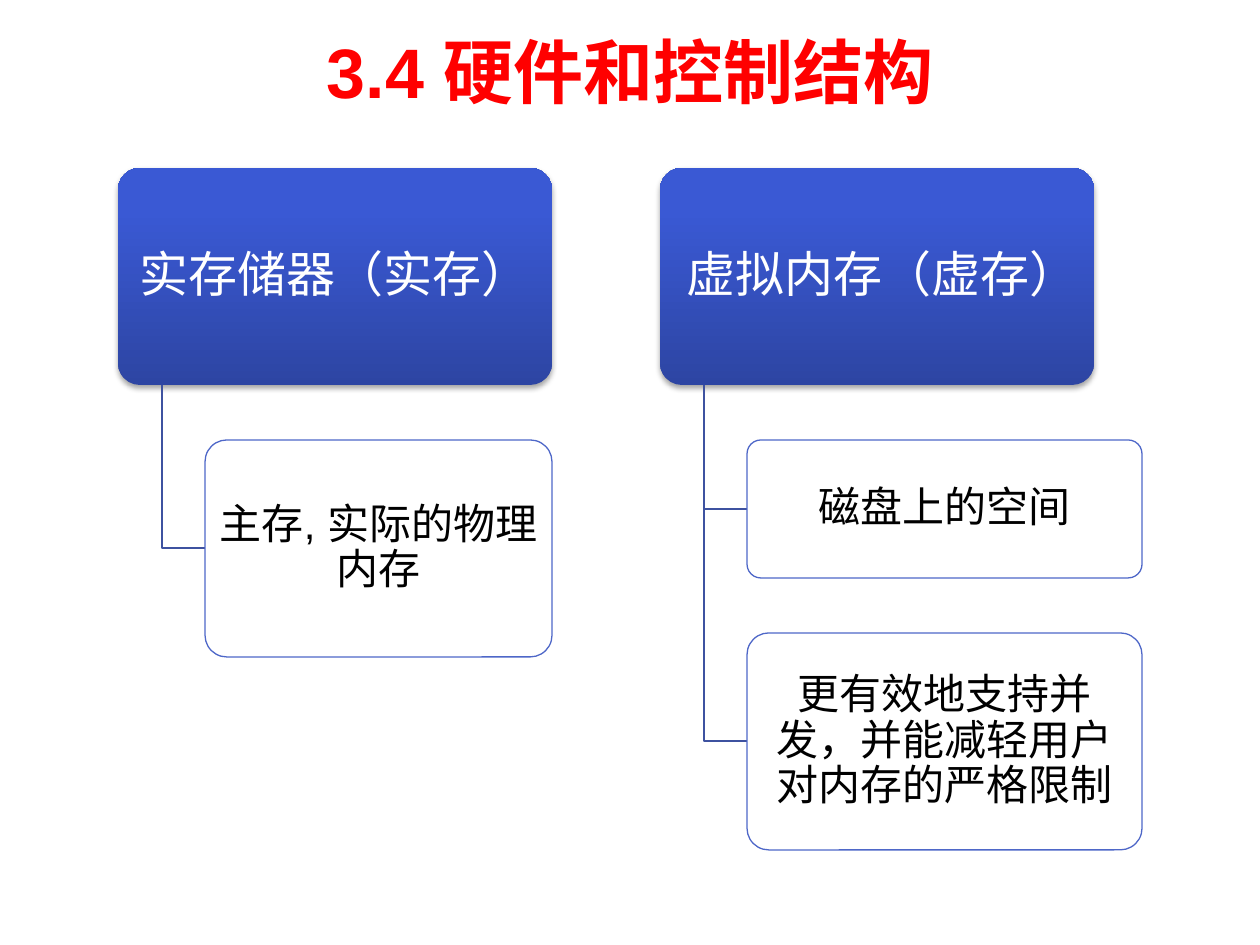
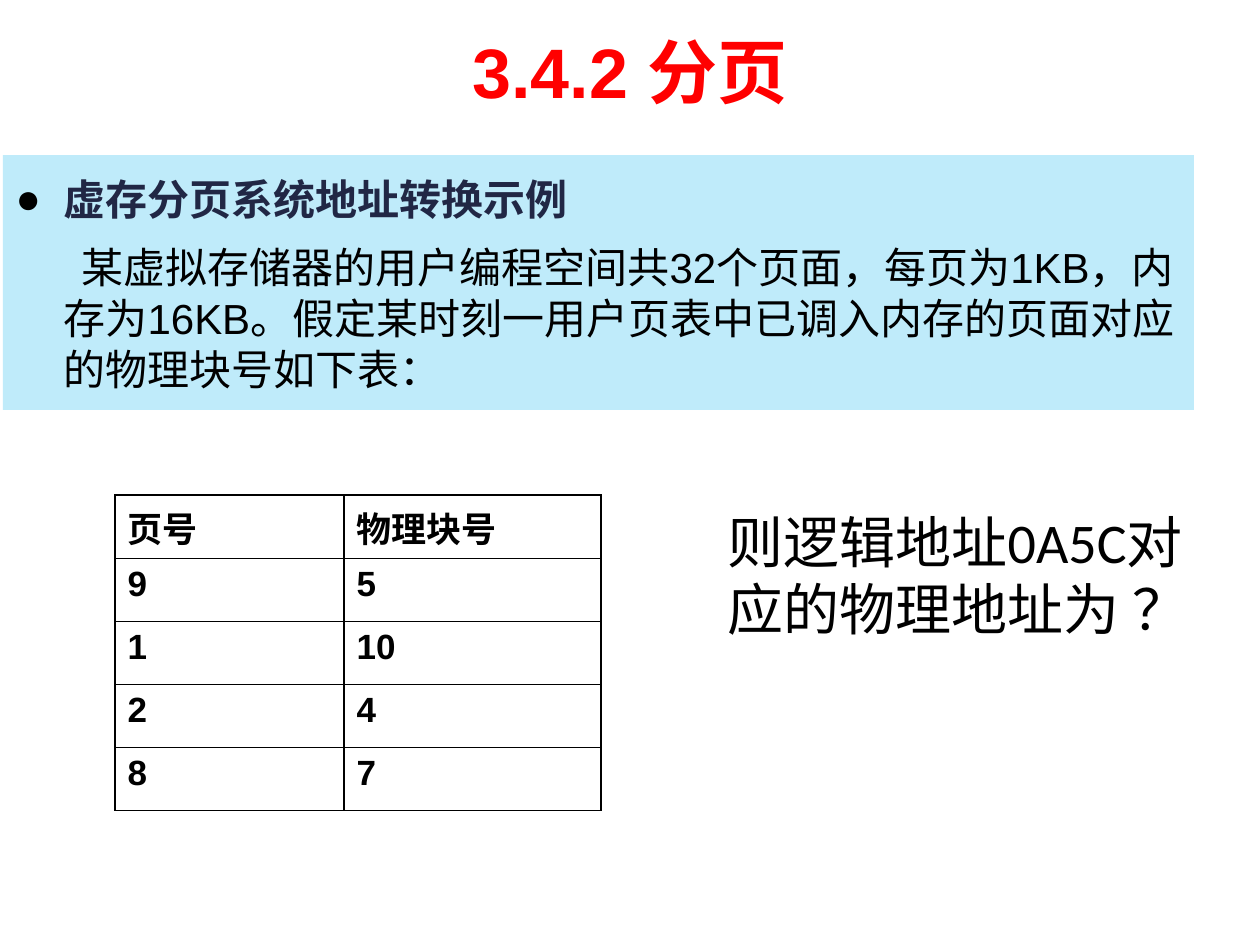
from dataclasses import dataclass

from pptx import Presentation
from pptx import util as u
from pptx.dml.color import RGBColor
from pptx.enum import shapes, text
from pptx.oxml import parse_xml
from pptx.oxml.ns import nsdecls

PX = 914400 / 126
RED, BLACK, WHITE, NAVY = "FF0000", "000000", "FFFFFF", "212745"
SKY, LEAF_EDGE, BRANCH = "BFEBFA", "4E67C8", "3E52A0"
ROOT_STOPS = ((0, "2D45A3"), (80, "3A59D4"), (100, "3758D7"))

TITLE_AREA = (63, 6, 1134, 129)
ROOT_TOP, ROOT_WIDTH, ROOT_HEIGHT = 168, 434, 217
LEAF_GAP, LEAF_INDENT, TRUNK_INDENT = 55, 87, 44


@dataclass
class Leaf:
    label: str
    height: int


@dataclass
class Branch:
    label: str
    left: int
    leaf_width: int
    leaves: list[Leaf]


BRANCHES = [
    Branch("实存储器（实存）", 118, 347, [Leaf("主存, 实际的物理内存", 217)]),
    Branch(" 虚拟内存（虚存）", 660, 395, [
        Leaf("磁盘上的空间", 138),
        Leaf("更有效地支持并发，并能减轻用户对内存的严格限制", 217),
    ]),
]
PAGE_TABLE = [("页号", "物理块号"), ("9", "5"), ("1", "10"), ("2", "4"), ("8", "7")]


def px(length: float) -> u.Emu:
    return u.Emu(round(length * PX))


def color(value: str) -> RGBColor:
    return RGBColor.from_string(value)


def place(shape, left: int, top: int, width: int, height: int) -> None:
    shape.left, shape.top = px(left), px(top)
    shape.width, shape.height = px(width), px(height)


def set_font(para, size: int, ink: str, name: str = "Arial", bold: bool = False) -> None:
    font = para.font
    font.size, font.name, font.bold = u.Pt(size), name, bold
    font.color.rgb = color(ink)


def keep_punctuation_inside(para) -> None:
    para._p.get_or_add_pPr().set("hangingPunct", "0")


def add_page(deck, layout: int, title: str):
    page = deck.slides.add_slide(deck.slide_layouts[layout])
    place(page.shapes.title, *TITLE_AREA)
    frame = page.shapes.title.text_frame
    frame.text = title
    frame.vertical_anchor = text.MSO_ANCHOR.MIDDLE
    frame.paragraphs[0].alignment = text.PP_ALIGN.CENTER
    set_font(frame.paragraphs[0], 40, RED, bold=True)
    return page


def add_card(page, area: tuple, label: str, size: int, ink: str):
    card = page.shapes.add_shape(shapes.MSO_SHAPE.ROUNDED_RECTANGLE, *map(px, area))
    card.adjustments[0] = 0.1
    card.shadow.inherit = False
    frame = card.text_frame
    frame.word_wrap = True
    frame.vertical_anchor = text.MSO_ANCHOR.MIDDLE
    frame.margin_left = frame.margin_right = px(7)
    frame.margin_top = frame.margin_bottom = px(4)
    para = frame.paragraphs[0]
    para.text = label
    para.alignment = text.PP_ALIGN.CENTER
    para.line_spacing = 0.9
    keep_punctuation_inside(para)
    set_font(para, size, ink)
    return card


def style_root(card) -> None:
    """Give the card its upward gradient and a soft shadow below."""
    card.line.fill.background()
    stops = "".join(f'<a:gs pos="{percent * 1000}"><a:srgbClr val="{tone}"/></a:gs>'
                    for percent, tone in ROOT_STOPS)
    properties = card._element.spPr
    properties.find("{*}prstGeom").addnext(parse_xml(
        f'<a:gradFill {nsdecls("a")} rotWithShape="1"><a:gsLst>{stops}</a:gsLst>'
        '<a:lin ang="16200000" scaled="0"/></a:gradFill>'))
    properties.find("{*}effectLst").append(parse_xml(
        f'<a:outerShdw {nsdecls("a")} blurRad="{u.Pt(3.1)}" dist="{u.Pt(1.8)}" '
        f'dir="5400000" rotWithShape="0"><a:srgbClr val="{BLACK}">'
        '<a:alpha val="35000"/></a:srgbClr></a:outerShdw>'))


def add_elbow(page, trunk: int, top: int, right: int, bottom: int) -> None:
    builder = page.shapes.build_freeform(trunk, top, scale=PX)
    builder.add_line_segments([(trunk, bottom), (right, bottom)], close=False)
    elbow = builder.convert_to_shape()
    elbow.fill.background()
    elbow.line.color.rgb = color(BRANCH)
    elbow.line.width = u.Pt(0.75)
    elbow.shadow.inherit = False


def add_branch(page, branch: Branch) -> None:
    root_area = (branch.left, ROOT_TOP, ROOT_WIDTH, ROOT_HEIGHT)
    style_root(add_card(page, root_area, branch.label, 28, WHITE))
    root_bottom = ROOT_TOP + ROOT_HEIGHT
    left, top = branch.left + LEAF_INDENT, root_bottom + LEAF_GAP
    for leaf in branch.leaves:
        add_elbow(page, branch.left + TRUNK_INDENT, root_bottom,
                  left, top + leaf.height // 2)
        card = add_card(page, (left, top, branch.leaf_width, leaf.height),
                        leaf.label, 24, BLACK)
        card.fill.solid()
        card.fill.fore_color.rgb = color(WHITE)
        card.line.color.rgb = color(LEAF_EDGE)
        card.line.width = u.Pt(0.75)
        top += leaf.height + LEAF_GAP


def set_indent(para, margin: int, first: int, bullet: str = "") -> None:
    properties = para._p.get_or_add_pPr()
    properties.set("marL", str(px(margin)))
    properties.set("indent", str(px(first)))
    if bullet:
        properties.append(parse_xml(
            f'<a:buClr {nsdecls("a")}><a:srgbClr val="{BLACK}"/></a:buClr>'))
        properties.append(parse_xml(f'<a:buChar {nsdecls("a")} char="{bullet}"/>'))
    else:
        properties.append(parse_xml(f'<a:buNone {nsdecls("a")}/>'))


def fill_example(body) -> None:
    place(body, 3, 155, 1191, 255)
    body.fill.solid()
    body.fill.fore_color.rgb = color(SKY)
    frame = body.text_frame
    frame.auto_size = text.MSO_AUTO_SIZE.NONE
    heading, problem = frame.paragraphs[0], frame.add_paragraph()
    heading.text = "虚存分页系统地址转换示例"
    set_indent(heading, 48, -48, "●")
    heading.line_spacing = 1.25
    heading.space_before = u.Pt(0)
    set_font(heading, 24, NAVY, "Calibri", bold=True)
    problem.text = ("某虚拟存储器的用户编程空间共32个页面，每页为1KB，内存为16KB。"
                    "假定某时刻一用户页表中已调入内存的页面对应的物理块号如下表：")
    set_indent(problem, 48, 18)
    problem.line_spacing = 1.02
    problem.space_before = u.Pt(9)
    set_font(problem, 24, BLACK)


def set_borders(cell) -> None:
    properties = cell._tc.get_or_add_tcPr()
    for index, side in enumerate(("lnL", "lnR", "lnT", "lnB")):
        properties.insert(index, parse_xml(
            f'<a:{side} {nsdecls("a")} w="{u.Pt(1)}"><a:solidFill>'
            f'<a:srgbClr val="{BLACK}"/></a:solidFill></a:{side}>'))


def add_page_table(page) -> None:
    frame = page.shapes.add_table(len(PAGE_TABLE), 2, *map(px, (115, 495, 486, 315)))
    table = frame.table
    table.first_row = table.horz_banding = False
    for column, width in zip(table.columns, (229, 257)):
        column.width = px(width)
    for row, values in enumerate(PAGE_TABLE):
        for column, value in enumerate(values):
            cell = table.cell(row, column)
            cell.text = value
            cell.fill.background()
            set_borders(cell)
            set_font(cell.text_frame.paragraphs[0], 20, BLACK, bold=True)


def add_question(page) -> None:
    box = page.shapes.add_textbox(*map(px, (715, 501, 501, 149)))
    box.text_frame.word_wrap = True
    para = box.text_frame.paragraphs[0]
    para.text = "则逻辑地址0A5C对应的物理地址为 ？"
    keep_punctuation_inside(para)
    set_font(para, 32, BLACK, "Calibri")


def main() -> None:
    deck = Presentation()
    deck.slide_width, deck.slide_height = px(1260), px(945)

    memory = add_page(deck, 5, "3.4 硬件和控制结构")
    for branch in BRANCHES:
        add_branch(memory, branch)

    paging = add_page(deck, 1, "3.4.2 分页")
    fill_example(paging.placeholders[1])
    add_page_table(paging)
    add_question(paging)
    deck.save("out.pptx")


if __name__ == "__main__":
    main()
